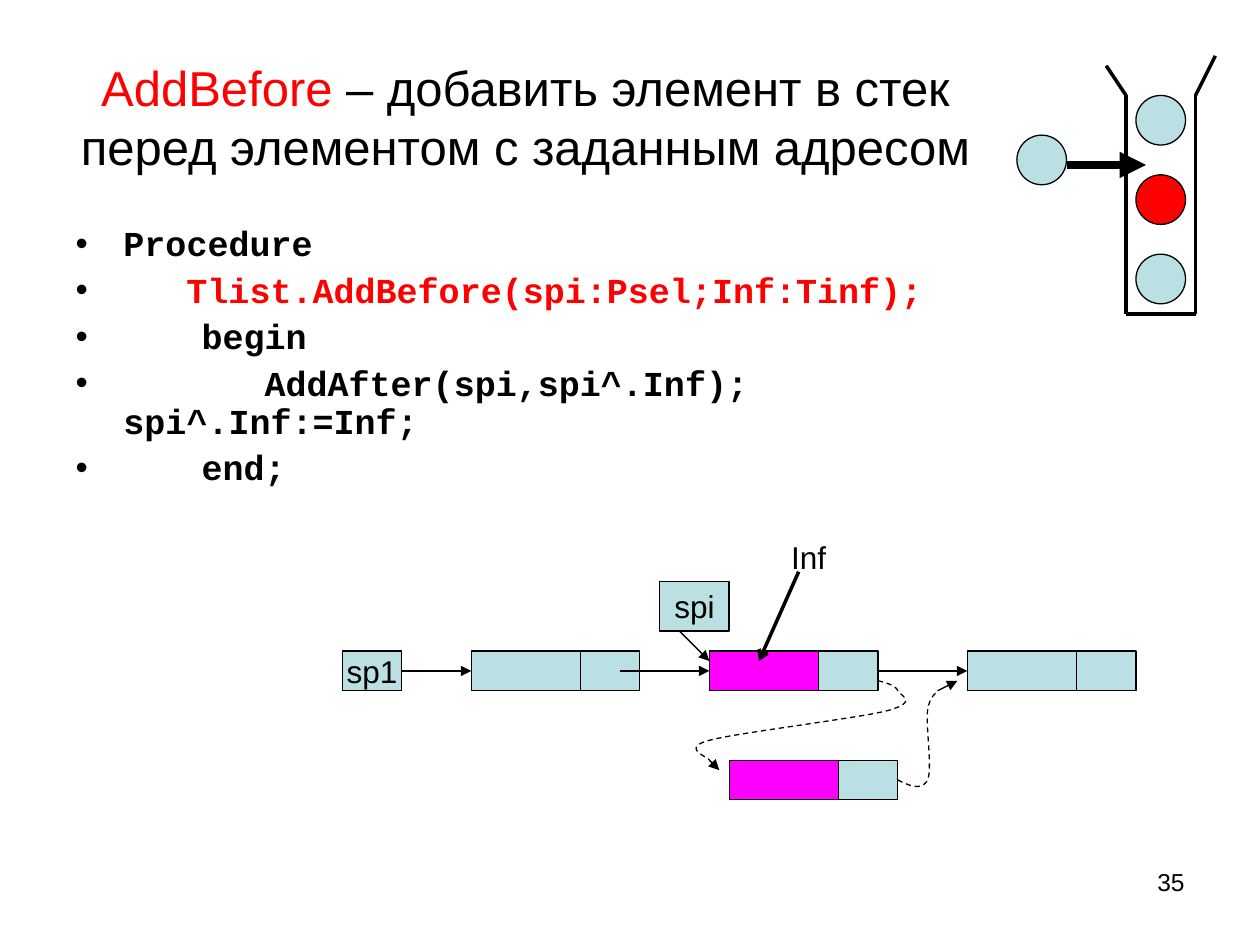
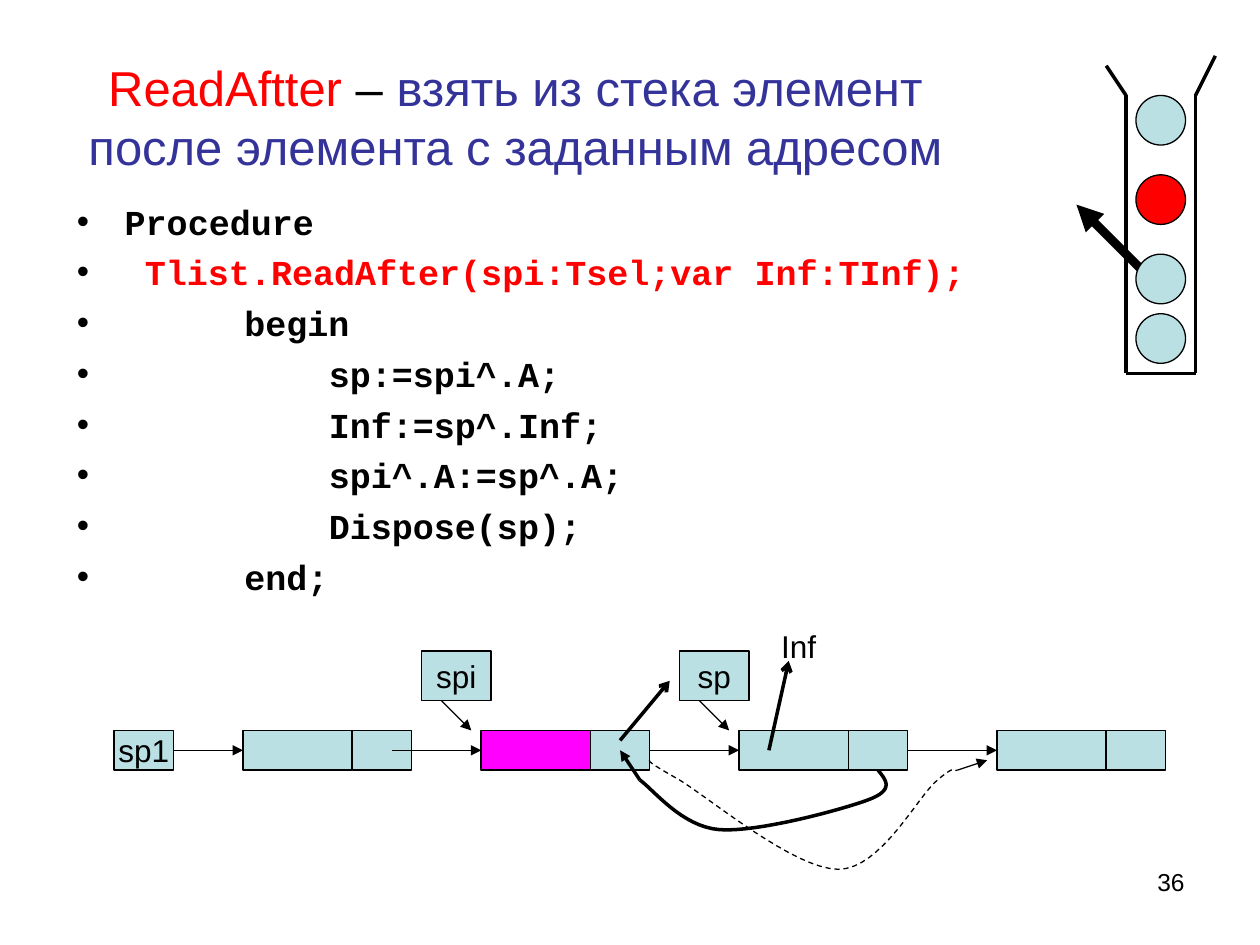
from lxml import etree
from pptx import Presentation
from pptx import util as u
from pptx.dml.color import RGBColor
from pptx.enum import dml, shapes, text
from pptx.oxml.ns import qn

color = RGBColor.from_string
BLACK, RED, BLUE = "000000", "FF0000", "333399"
PALE, PINK = "BBE0E3", "FF00FF"

# Drawing grid: 2 mm cells, with a small margin at the left and top
CELL, LEFT, TOP = u.Mm(2), u.Mm(1), u.Mm(1.25)
THIN, THICK, HEAVY = 0.75, 2, 5
DATA, POINTER, HEIGHT = 11, 6, 4  # parts of a list node, in cells
BALL = 5


def add_block(slide, kind, column, row, columns, rows, fill, label=""):
    shape = slide.shapes.add_shape(
        kind, LEFT + column * CELL, TOP + row * CELL, columns * CELL, rows * CELL)
    shape.shadow.inherit = False
    shape.fill.solid()
    shape.fill.fore_color.rgb = color(fill)
    shape.line.color.rgb = color(BLACK)
    shape.line.width = u.Pt(THIN)
    if label:
        shape.text_frame.word_wrap = False
        paragraph = shape.text_frame.paragraphs[0]
        paragraph.alignment = text.PP_ALIGN.CENTER
        paragraph.font.name, paragraph.font.size = "Arial", u.Pt(18)
        paragraph.add_run().text = label
        paragraph.runs[0].font.color.rgb = color(BLACK)


def add_line(slide, points, width=THIN, head=None, dashed=False):
    """Two points give a straight line, more give a chain of cubic curves."""
    places = [(LEFT + x * CELL, TOP + y * CELL) for x, y in points]
    if len(places) == 2:
        (x1, y1), (x2, y2) = places
        shape = slide.shapes.add_connector(shapes.MSO_CONNECTOR.STRAIGHT, x1, y1, x2, y2)
    else:
        track = []
        for first in range(0, len(places) - 1, 3):
            a, b, c, d = places[first:first + 4]
            for t in (step / 16 for step in range(1, 17)):
                s = 1 - t
                track.append(tuple(
                    round(s**3 * a[i] + 3 * s * s * t * b[i] + 3 * s * t * t * c[i] + t**3 * d[i])
                    for i in (0, 1)))
        builder = slide.shapes.build_freeform(*places[0])
        builder.add_line_segments(track, close=False)
        shape = builder.convert_to_shape()
        shape.fill.background()
    shape.line.color.rgb = color(BLACK)
    shape.line.width = u.Pt(width)
    if dashed:
        shape.line.dash_style = dml.MSO_LINE.DASH
    if head:
        etree.SubElement(shape.line._ln, qn("a:tailEnd"), type=head)
    etree.SubElement(shape._element.spPr, qn("a:effectLst"))


# Code lines are (tab stop in inches, colour, text)
pages = [
    dict(
        number="35", title_width=0.734,
        title=[("AddBefore", RED),
               (" – добавить элемент в стек перед элементом с заданным адресом", BLACK)],
        body=(0.05, 0.233, 0.718, 0.299), spacing=0.9,
        code=[(0, BLACK, "Procedure"),
              (0.88, RED, "Tlist.AddBefore(spi:Psel;Inf:Tinf);"),
              (1, BLACK, "begin"),
              (1.5, BLACK, "AddAfter(spi,spi^.Inf);\vspi^.Inf:=Inf;"),
              (1, BLACK, "end;")],
        glass_bottom=31, move=[(107, 16), (115, 16)],
        balls=[(102, 13, PALE), (114, 25, PALE), (114, 17, RED), (114, 9, PALE)],
        list_row=65, start=34, nodes=[(47, PALE), (71, PINK), (97, PALE)],
        extra_nodes=[(73, 76, PINK)],
        pointers=[("spi", 66, 58, 3)],
        info=(78, 53),
        lines=[
            ([(80, 57), (76, 66)], THICK, "arrow", False),
            ([(90, 78), (91.2, 78.6), (92.4, 79.1), (93, 78), (93.5, 76.8), (92.8, 72.5),
              (93, 71), (93.2, 69.5), (93.9, 69.3), (94, 69)], THIN, None, True),
            ([(94, 69), (96, 68)], THIN, "triangle", False),
            ([(88, 68), (88.9, 68.2), (89.8, 68.5), (90, 69), (90.2, 69.5), (92.2, 70.1),
              (89, 71), (85.9, 71.8), (74, 73.2), (71, 74), (68, 74.8), (71, 75.7),
              (71, 76)], THIN, None, True),
            ([(71, 76), (72, 77)], THIN, "triangle", False),
        ]),
    dict(
        number="36", title_width=0.718,
        title=[("ReadAftter", RED), (" – ", BLACK),
               ("взять из стека элемент после элемента с заданным адресом", BLUE)],
        body=(0.051, 0.205, 0.797, 0.435), spacing=1.0,
        code=[(0, BLACK, "Procedure"),
              (0.54, RED, "Tlist.ReadAfter(spi:Tsel;var Inf:TInf);"),
              (1.33, BLACK, "begin"),
              (2, BLACK, "sp:=spi^.A;"),
              (2, BLACK, "Inf:=sp^.Inf;"),
              (2, BLACK, "spi^.A:=sp^.A;"),
              (2, BLACK, "Dispose(sp);"),
              (1.33, BLACK, "end;")],
        glass_bottom=37, move=[(115, 27), (108, 20)],
        balls=[(114, 31, PALE), (114, 25, PALE), (114, 17, RED), (114, 9, PALE)],
        list_row=73, start=11, nodes=[(24, PALE), (48, PINK), (74, PALE), (100, PALE)],
        extra_nodes=[],
        pointers=[("spi", 42, 65, 3), ("sp", 68, 65, 3)],
        info=(77, 62),
        lines=[
            ([(77, 75), (79, 66)], THICK, "arrow", False),
            ([(88, 77), (88.8, 78), (89.7, 79), (87, 80), (84.3, 81), (75.8, 83.3),
              (72, 83), (68.2, 82.7), (65.3, 78.9), (64, 78)], THICK, None, False),
            ([(64, 78), (62, 75)], THICK, "triangle", False),
            ([(65, 76), (64.9, 76.1), (64.8, 76.2), (68, 78), (71.1, 79.9), (79.6, 87),
              (84, 87), (88.3, 87), (92, 79.6), (94, 78), (96, 76.3), (95.6, 77.2),
              (96, 77)], THIN, None, True),
            ([(96, 77), (99, 76)], THIN, "triangle", False),
            ([(62, 74), (67, 68)], THICK, "arrow", False),
        ]),
]

presentation = Presentation()
presentation.slide_width, presentation.slide_height = u.Inches(10), u.Inches(7.5)
WIDTH, DEPTH = presentation.slide_width, presentation.slide_height
RECTANGLE, OVAL = shapes.MSO_SHAPE.RECTANGLE, shapes.MSO_SHAPE.OVAL

for page in pages:
    slide = presentation.slides.add_slide(presentation.slide_layouts[1])

    # Title
    title = slide.shapes.title
    title.left, title.top = int(0.05 * WIDTH), int(0.04 * DEPTH)
    title.width, title.height = int(page["title_width"] * WIDTH), int(0.167 * DEPTH)
    title.text_frame.auto_size = text.MSO_AUTO_SIZE.NONE
    title.text_frame.vertical_anchor = text.MSO_ANCHOR.MIDDLE
    paragraph = title.text_frame.paragraphs[0]
    paragraph.alignment = text.PP_ALIGN.CENTER
    paragraph.font.name, paragraph.font.size = "Arial", u.Pt(28)
    for words, hue in page["title"]:
        run = paragraph.add_run()
        run.text = words
        run.font.color.rgb = color(hue)

    # Code list
    body = slide.placeholders[1]
    x, y, width, height = page["body"]
    body.left, body.top = int(x * WIDTH), int(y * DEPTH)
    body.width, body.height = int(width * WIDTH), int(height * DEPTH)
    frame = body.text_frame
    frame.auto_size = text.MSO_AUTO_SIZE.NONE
    for index, (stop, hue, words) in enumerate(page["code"]):
        paragraph = frame.add_paragraph() if index else frame.paragraphs[0]
        properties = paragraph._p.get_or_add_pPr()
        properties.set("marL", str(u.Inches(0.38)))
        properties.set("indent", str(-u.Inches(0.38)))
        bullet_color = etree.SubElement(properties, qn("a:buClr"))
        etree.SubElement(bullet_color, qn("a:srgbClr"), val=BLACK)
        etree.SubElement(properties, qn("a:buChar"), char="•")
        if stop:
            tabs = etree.SubElement(properties, qn("a:tabLst"))
            etree.SubElement(tabs, qn("a:tab"), pos=str(u.Inches(stop)), algn="l")
        paragraph.line_spacing, paragraph.space_before = page["spacing"], u.Pt(5)
        paragraph.font.name, paragraph.font.size = "Courier New", u.Pt(20)
        paragraph.font.bold = True
        paragraph.text = "\t" + words if stop else words
        for run in paragraph.runs:
            run.font.color.rgb = color(hue)

    # Stack as a glass with balls
    bottom = page["glass_bottom"]
    for ends in ([(113, 9), (113, bottom)], [(120, 9), (120, bottom)],
                 [(113, bottom), (120, bottom)], [(113, 9), (111, 6)], [(120, 9), (122, 5)]):
        add_line(slide, ends, THICK)
    add_line(slide, page["move"], HEAVY, "triangle")
    for column, row, fill in page["balls"]:
        add_block(slide, OVAL, column, row, BALL, BALL, fill)

    # Linked list: start pointer, nodes and the links between them
    list_row, start = page["list_row"], page["start"]
    add_block(slide, RECTANGLE, start, list_row, POINTER, HEIGHT, PALE, "sp1")
    chain = [(column, list_row, fill) for column, fill in page["nodes"]]
    for column, row, fill in chain + page["extra_nodes"]:
        add_block(slide, RECTANGLE, column, row, DATA, HEIGHT, fill)
        add_block(slide, RECTANGLE, column + DATA, row, POINTER, HEIGHT, PALE)
    columns = [column for column, row, fill in chain]
    tails = [start + POINTER, columns[0] + DATA + 4]
    tails += [column + DATA + POINTER for column in columns[1:-1]]
    link_row = list_row + 2
    for tail, target in zip(tails, columns):
        add_line(slide, [(tail, link_row), (target, link_row)], head="triangle")

    # Named pointers above the list
    for name, column, row, reach in page["pointers"]:
        add_block(slide, RECTANGLE, column, row, 7, 5, PALE, name)
        foot = (column + 2, row + 5)
        add_line(slide, [foot, (foot[0] + reach, foot[1] + reach)], head="triangle")

    # Moved value and changed links
    for points, width, head, dashed in page["lines"]:
        add_line(slide, points, width, head, dashed)

    # Value label and slide number
    column, row = page["info"]
    labels = [
        ("Inf", 18, text.PP_ALIGN.LEFT,
         (LEFT + column * CELL, TOP + row * CELL, 8 * CELL, 5 * CELL)),
        (page["number"], 14, text.PP_ALIGN.RIGHT,
         (int(0.717 * WIDTH), int(0.911 * DEPTH), int(0.233 * WIDTH), int(0.069 * DEPTH))),
    ]
    for words, size, alignment, place in labels:
        frame = slide.shapes.add_textbox(*place).text_frame
        frame.word_wrap = True
        paragraph = frame.paragraphs[0]
        paragraph.alignment = alignment
        paragraph.font.name, paragraph.font.size = "Arial", u.Pt(size)
        paragraph.add_run().text = words
        paragraph.runs[0].font.color.rgb = color(BLACK)

presentation.save("out.pptx")
